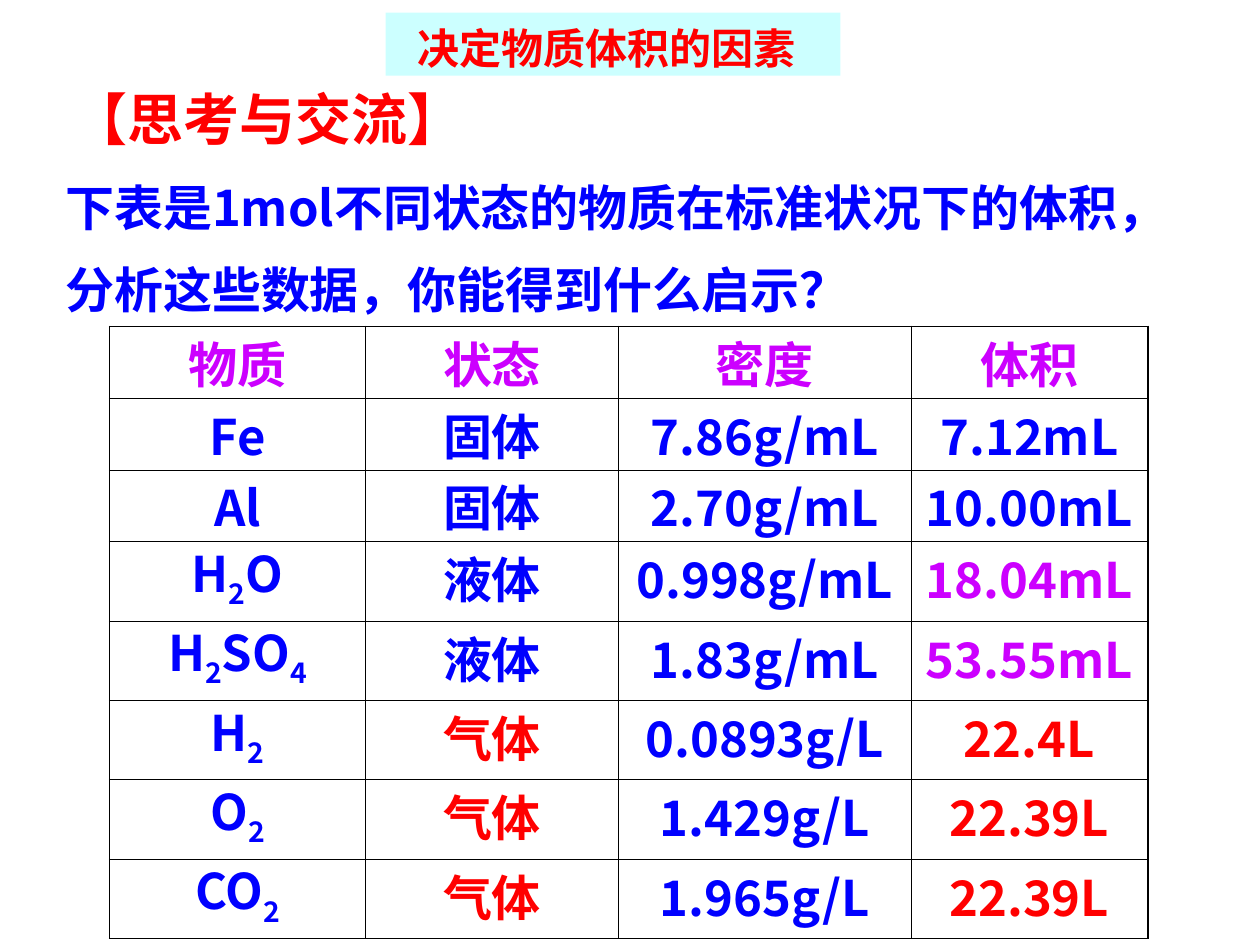
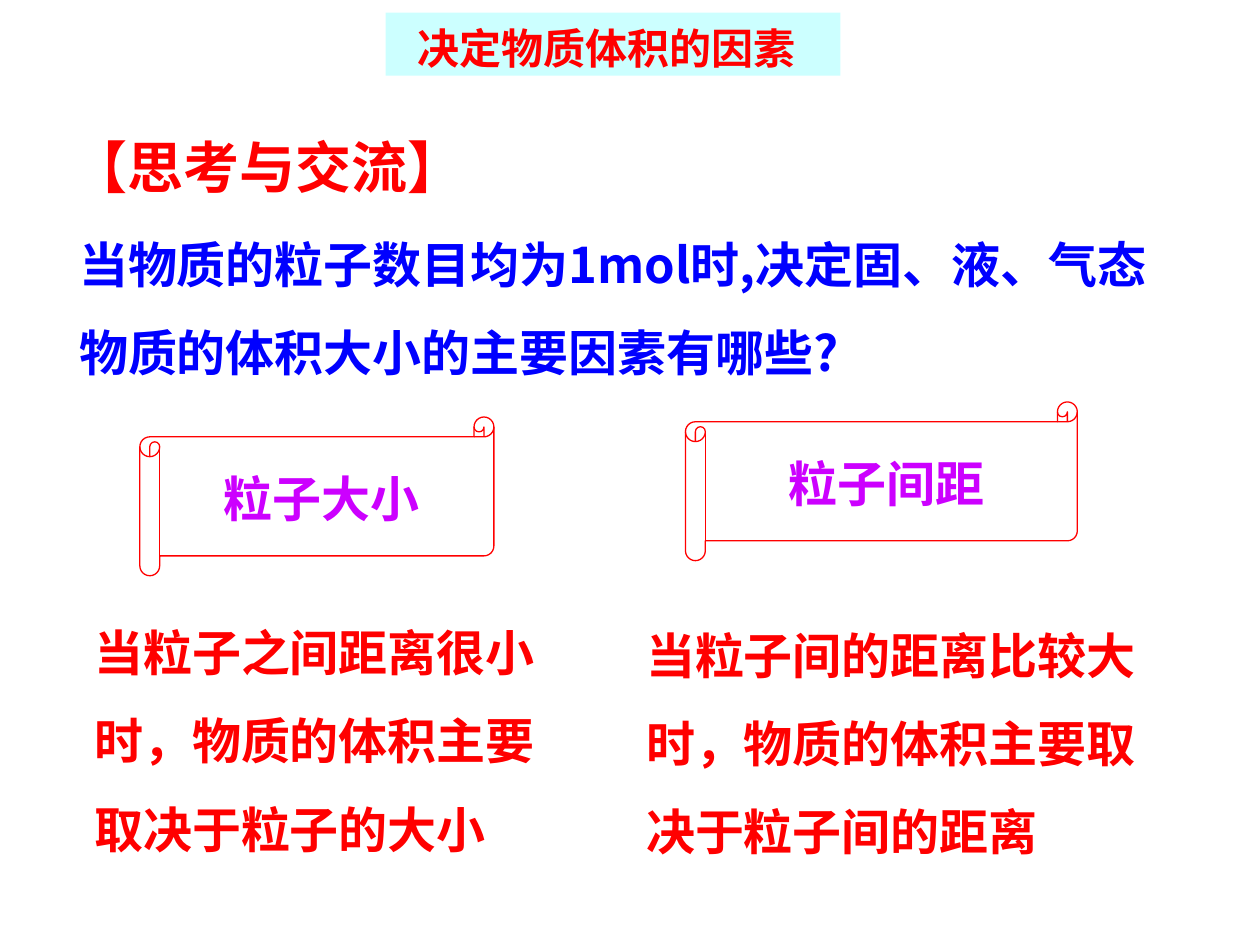
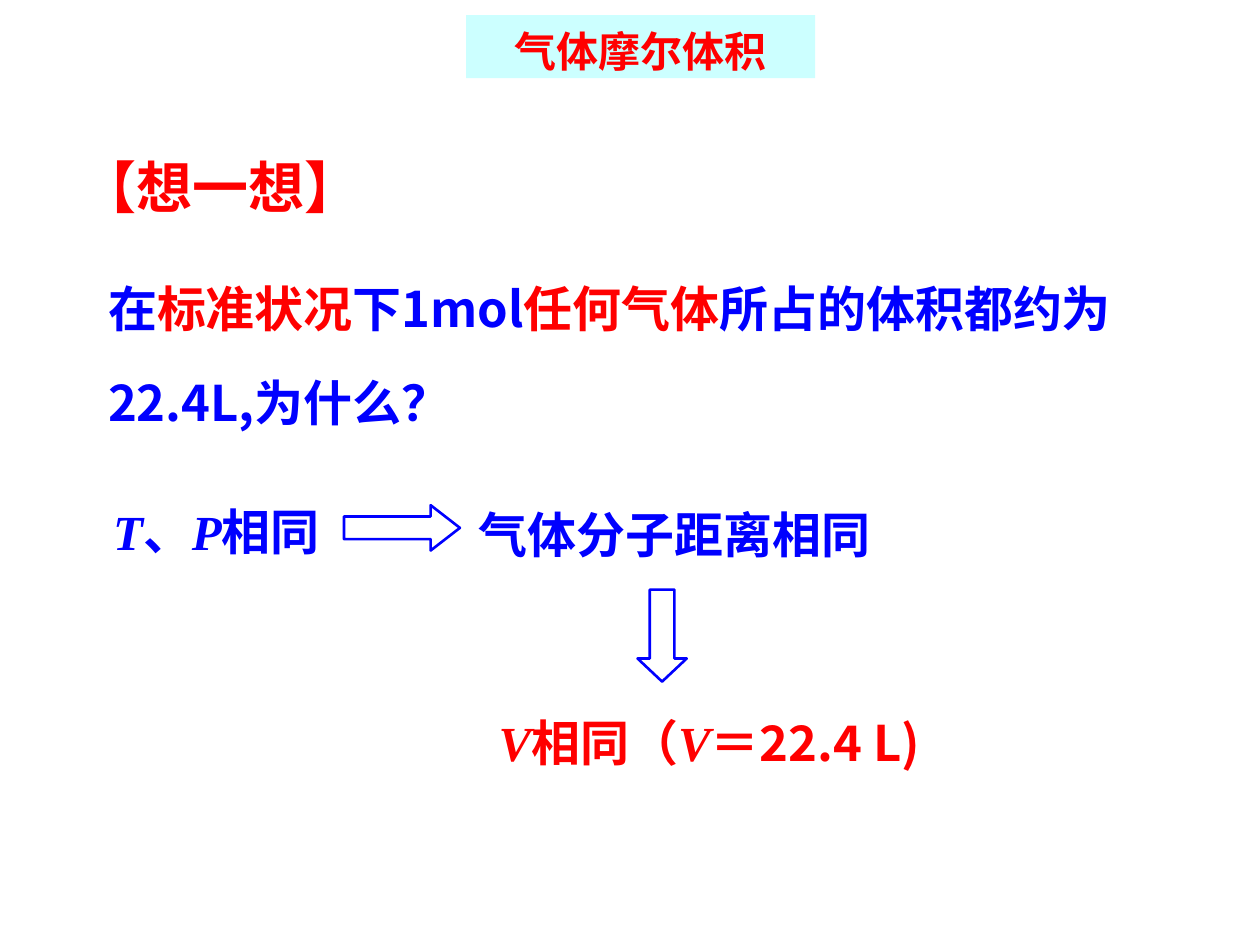
from dataclasses import dataclass
from itertools import product

from lxml.etree import SubElement
from pptx import Presentation
from pptx.dml.color import RGBColor
from pptx.enum.shapes import MSO_SHAPE as Preset
from pptx.enum.text import MSO_ANCHOR as Anchor, PP_ALIGN as Align
from pptx.oxml import parse_xml
from pptx.oxml.ns import nsdecls, qn
from pptx.shapes.autoshape import Shape
from pptx.slide import Slide
from pptx.table import _Cell as Cell
from pptx.text.text import TextFrame, _Paragraph as Paragraph
from pptx.util import Inches, Pt

COLORS = {
    "red": "FF0000",
    "blue": "0000FF",
    "purple": "CC00FF",
    "band": "CCFFFF",
    "grid": "000000",
}
HAN_FONT = "Noto Sans CJK SC"
SYMBOL_FONT = "Times New Roman"
TITLE_SIZE, HEADING_SIZE, BODY_SIZE = 24, 32, 28
LINE_HEIGHT = 1.2
OUTER_BORDER, INNER_BORDER = 1.08, 0.45


@dataclass(frozen=True)
class Box:
    left: float
    top: float
    width: float
    height: float

    def lengths(self) -> tuple[int, int, int, int]:
        return (Inches(self.left), Inches(self.top),
                Inches(self.width), Inches(self.height))


@dataclass(frozen=True)
class Span:
    text: str
    color: str
    symbol: bool = False
    subscript: bool = False


@dataclass(frozen=True)
class Passage:
    box: Box
    spans: list[Span]
    spacing: float = 1.5
    size: int = BODY_SIZE


@dataclass(frozen=True)
class Outline:
    preset: Preset
    box: Box
    color: str
    weight: float
    adjustments: tuple[float, ...]
    label: str = ""


@dataclass(frozen=True)
class Substance:
    formula: str
    state: str
    density: str
    volume: str


STATE_COLORS = {"固体": "blue", "液体": "blue", "气体": "red"}
VOLUME_COLORS = {"固体": "blue", "液体": "purple", "气体": "red"}
HEADINGS = ["物质", "状态", "密度", "体积"]
SUBSTANCES = [
    Substance("Fe", "固体", "7.86g/mL", "7.12mL"),
    Substance("Al", "固体", "2.70g/mL", "10.00mL"),
    Substance("H2O", "液体", "0.998g/mL", "18.04mL"),
    Substance("H2SO4", "液体", "1.83g/mL", "53.55mL"),
    Substance("H2", "气体", "0.0893g/L", "22.4L"),
    Substance("O2", "气体", "1.429g/L", "22.39L"),
    Substance("CO2", "气体", "1.965g/L", "22.39L"),
]
TABLE_BOX = Box(0.87, 2.59, 8.25, 4.86)
COLUMN_WIDTHS = [2.03, 2.01, 2.32, 1.88]
ROW_HEIGHTS = [0.57] * 3 + [0.63] * 5


def rgb(color: str) -> RGBColor:
    return RGBColor.from_string(COLORS[color])


def write_spans(paragraph: Paragraph, spans: list[Span], size: int, line_points: float) -> None:
    paragraph.line_spacing = Pt(round(line_points, 1))
    for span in spans:
        run = paragraph.add_run()
        run.text = span.text
        font = run.font
        font.size, font.bold, font.italic = Pt(size), True, span.symbol
        font.color.rgb = rgb(span.color)
        font.name = SYMBOL_FONT if span.symbol else HAN_FONT
        properties = run._r.get_or_add_rPr()
        SubElement(properties, qn("a:ea"), typeface=HAN_FONT)
        if span.subscript:
            properties.set("baseline", "-25000")


def fill_frame(frame: TextFrame, spans: list[Span], size: int, spacing: float = 1) -> None:
    frame.word_wrap = True
    frame.vertical_anchor = Anchor.TOP
    frame.margin_top = Inches(0.08)
    write_spans(frame.paragraphs[0], spans, size, size * LINE_HEIGHT * spacing)


def add_passage(slide: Slide, passage: Passage) -> None:
    frame = slide.shapes.add_textbox(*passage.box.lengths()).text_frame
    fill_frame(frame, passage.spans, passage.size, passage.spacing)


def add_heading(slide: Slide, text: str, box: Box) -> None:
    add_passage(slide, Passage(box, [Span(text, "red")], 1, HEADING_SIZE))


def add_preset(slide: Slide, preset: Preset, box: Box) -> Shape:
    shape = slide.shapes.add_shape(preset, *box.lengths())
    shape.shadow.inherit = False
    return shape


def add_title_band(slide: Slide, text: str, box: Box, align: Align, indent: float = 0.1) -> None:
    band = add_preset(slide, Preset.RECTANGLE, box)
    band.fill.solid()
    band.fill.fore_color.rgb = rgb("band")
    band.line.fill.background()
    fill_frame(band.text_frame, [Span(text, "red")], TITLE_SIZE)
    band.text_frame.margin_left = Inches(indent)
    band.text_frame.paragraphs[0].alignment = align


def add_outline(slide: Slide, outline: Outline) -> None:
    shape = add_preset(slide, outline.preset, outline.box)
    shape.fill.background()
    shape.line.color.rgb = rgb(outline.color)
    shape.line.width = Pt(outline.weight)
    for index, value in enumerate(outline.adjustments):
        shape.adjustments[index] = value
    if outline.label:
        frame = shape.text_frame
        fill_frame(frame, [Span(outline.label, "purple")], BODY_SIZE)
        frame.word_wrap = False
        frame.vertical_anchor = Anchor.MIDDLE
        frame.paragraphs[0].alignment = Align.CENTER


def set_borders(cell: Cell, outer_sides: dict[str, bool]) -> None:
    """Draw the sides in schema order, heavier on the table's edge."""
    properties = cell._tc.get_or_add_tcPr()
    for index, (side, is_outer) in enumerate(outer_sides.items()):
        width = Pt(OUTER_BORDER if is_outer else INNER_BORDER)
        properties.insert(index, parse_xml(
            f'<a:ln{side} {nsdecls("a")} w="{width}"><a:solidFill>'
            f'<a:srgbClr val="{COLORS["grid"]}"/></a:solidFill></a:ln{side}>'))


def formula_spans(formula: str) -> list[Span]:
    """Split a formula into letters and lowered digits."""
    spans: list[Span] = []
    for symbol in formula:
        lowered = symbol.isdigit()
        if spans and spans[-1].subscript == lowered:
            symbol = spans.pop().text + symbol
        spans.append(Span(symbol, "blue", subscript=lowered))
    return spans


def substance_row(substance: Substance) -> list[list[Span]]:
    state = substance.state
    return [
        formula_spans(substance.formula),
        [Span(state, STATE_COLORS[state])],
        [Span(substance.density, "blue")],
        [Span(substance.volume, VOLUME_COLORS[state])],
    ]


def add_substance_table(slide: Slide) -> None:
    rows = [[[Span(heading, "purple")] for heading in HEADINGS]]
    rows += [substance_row(substance) for substance in SUBSTANCES]
    last_row, last_column = len(rows) - 1, len(HEADINGS) - 1
    table = slide.shapes.add_table(len(rows), len(HEADINGS), *TABLE_BOX.lengths()).table
    table.first_row = table.horz_banding = False
    for column, width in zip(table.columns, COLUMN_WIDTHS):
        column.width = Inches(width)
    for row, height in zip(table.rows, ROW_HEIGHTS):
        row.height = Inches(height)
    for r, c in product(range(len(rows)), range(len(HEADINGS))):
        cell = table.cell(r, c)
        cell.fill.background()
        cell.margin_top, cell.margin_bottom = Inches(0.05), 0
        paragraph = cell.text_frame.paragraphs[0]
        paragraph.alignment = Align.CENTER
        write_spans(paragraph, rows[r][c], BODY_SIZE, 37)
        set_borders(cell, {"L": c == 0, "R": c == last_column,
                           "T": r == 0, "B": r == last_row})


def add_volume_factor_title(slide: Slide, heading_top: float) -> None:
    add_heading(slide, "【思考与交流】", Box(0.47, heading_top, 4.28, 0.64))
    add_title_band(slide, "决定物质体积的因素", Box(3.06, 0.1, 3.61, 0.5), Align.LEFT, 0.25)


def build_data_slide(slide: Slide) -> None:
    question = "下表是1mol不同状态的物质在标准状况下的体积，分析这些数据，你能得到什么启示？"
    add_passage(slide, Passage(Box(0.42, 1.14, 9.11, 1.41), [Span(question, "blue")], 1.4))
    add_substance_table(slide)
    add_volume_factor_title(slide, 0.59)


def build_factors_slide(slide: Slide) -> None:
    question = "当物质的粒子数目均为1mol时,决定固、液、气态物质的体积大小的主要因素有哪些?"
    small_gap = "当粒子之间距离很小时，物质的体积主要取决于粒子的大小"
    large_gap = "当粒子间的距离比较大时，物质的体积主要取决于粒子间的距离"
    for passage in (
        Passage(Box(0.65, 4.63, 4.03, 2.2), [Span(small_gap, "red")]),
        Passage(Box(5.03, 4.65, 4.39, 2.2), [Span(large_gap, "red")]),
        Passage(Box(0.53, 1.55, 8.92, 1.5), [Span(question, "blue")]),
    ):
        add_passage(slide, passage)
    for label, box in (
        ("粒子大小", Box(1.11, 3.31, 2.81, 1.26)),
        ("粒子间距", Box(5.44, 3.19, 3.11, 1.26)),
    ):
        add_outline(slide, Outline(Preset.HORIZONTAL_SCROLL, box, "red", 0.75, (0.125,), label))
    add_volume_factor_title(slide, 0.97)


def build_molar_volume_slide(slide: Slide) -> None:
    question = [
        Span("在", "blue"), Span("标准状况", "red"), Span("下1mol", "blue"),
        Span("任何气体", "red"), Span("所占的体积都约为22.4L,为什么？", "blue"),
    ]
    condition = [
        Span("T", "blue", symbol=True), Span("、", "blue"),
        Span("P", "blue", symbol=True), Span("相同", "blue"),
    ]
    conclusion = [
        Span("V", "red", symbol=True), Span("相同（", "red"),
        Span("V", "red", symbol=True), Span("＝22.4 L)", "red"),
    ]
    for passage in (
        Passage(Box(3.7, 3.69, 4.65, 0.8), [Span("气体分子距离相同", "blue")]),
        Passage(Box(3.86, 5.34, 5.1, 0.8), conclusion),
        Passage(Box(0.8, 3.67, 2.13, 0.8), condition),
        Passage(Box(0.76, 1.85, 8.79, 1.6), question, 1.6),
    ):
        add_passage(slide, passage)
    add_heading(slide, "【想一想】", Box(0.54, 1.13, 3.47, 0.64))
    for arrow in (
        Outline(Preset.RIGHT_ARROW, Box(2.73, 4.01, 0.92, 0.36), "blue", 1.5, (0.5, 0.645)),
        Outline(Preset.DOWN_ARROW, Box(5.06, 4.68, 0.39, 0.73), "blue", 1.5, (0.5, 0.47)),
    ):
        add_outline(slide, arrow)
    add_title_band(slide, "气体摩尔体积", Box(3.7, 0.12, 2.77, 0.5), Align.CENTER)


def main() -> None:
    deck = Presentation()
    deck.slide_width, deck.slide_height = Inches(10), Inches(7.5)
    blank = deck.slide_layouts[6]
    for build in (build_data_slide, build_factors_slide, build_molar_volume_slide):
        build(deck.slides.add_slide(blank))
    deck.save("out.pptx")


if __name__ == "__main__":
    main()
